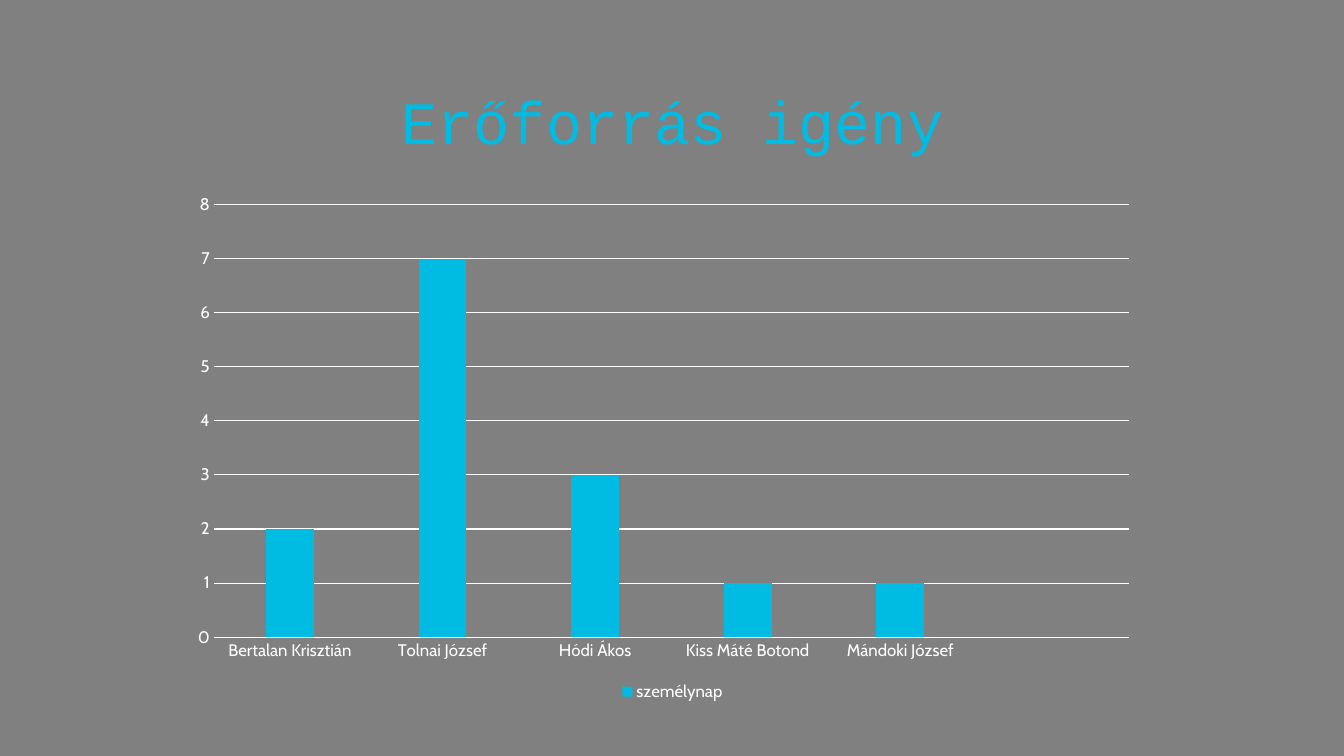
from pptx import Presentation
from pptx.chart.data import CategoryChartData
from pptx.dml.color import RGBColor
from pptx.enum import chart as charts, text
from pptx.oxml import parse_xml
from pptx.oxml.ns import nsdecls, qn
from pptx.util import Inches, Pt

TITLE = "Erőforrás igény"
SERIES = "személynap"
WORKLOAD = [
    ("Bertalan Krisztián", 2),
    ("Tolnai József", 7),
    ("Hódi Ákos", 3),
    ("Kiss Máté Botond", 1),
    ("Mándoki József", 1),
    ("", None),
]
TITLE_BOX = (1.67, 0.36, 10, 1.25)
CHART_BOX = (1.67, 1.75, 10, 5.25)
PLOT_AREA = {"x": 0.045, "y": 0.053, "w": 0.908, "h": 0.818}


class Theme:
    background = RGBColor.from_string("808080")
    accent = RGBColor.from_string("00BCE3")
    light = RGBColor.from_string("FFFFFF")
    title_font, chart_font = "Courier New", "Cabin"
    title_size, chart_size = Pt(43), Pt(12)
    line_width = Pt(0.75)


def style_font(font, name, size, color):
    font.name, font.size, font.bold = name, size, False
    font.color.rgb = color


def style_chart_font(font):
    style_font(font, Theme.chart_font, Theme.chart_size, Theme.light)


def style_line(line):
    line.color.rgb = Theme.light
    line.width = Theme.line_width


def fix_plot_area(chart):
    """Place the inner plot area by fractions of the chart frame."""
    area = chart._chartSpace.chart.plotArea
    for layout in area.findall(qn("c:layout")):
        area.remove(layout)
    modes = "".join(f'<c:{key}Mode val="edge"/>' for key in "xy")
    sizes = "".join(f'<c:{key} val="{value}"/>' for key, value in PLOT_AREA.items())
    area.insert(0, parse_xml(
        f'<c:layout {nsdecls("c")}><c:manualLayout><c:layoutTarget val="inner"/>'
        f"{modes}{sizes}</c:manualLayout></c:layout>"))


def add_title(page):
    box = page.shapes.add_textbox(*map(Inches, TITLE_BOX))
    frame = box.text_frame
    frame.word_wrap = True
    frame.vertical_anchor = text.MSO_ANCHOR.BOTTOM
    frame.text = TITLE
    para = frame.paragraphs[0]
    para.alignment = text.PP_ALIGN.CENTER
    para.line_spacing = 0.9
    style_font(para.runs[0].font, Theme.title_font, Theme.title_size, Theme.accent)


def add_workload_chart(page):
    names, days = zip(*WORKLOAD)
    data = CategoryChartData()
    data.categories = names
    data.add_series(SERIES, days)
    chart = page.shapes.add_chart(
        charts.XL_CHART_TYPE.COLUMN_CLUSTERED, *map(Inches, CHART_BOX), data).chart
    chart.has_title = False
    style_chart_font(chart.font)
    fix_plot_area(chart)

    plot = chart.plots[0]
    plot.vary_by_categories = False
    plot.gap_width, plot.overlap = 219, -27
    fill = plot.series[0].format.fill
    fill.solid()
    fill.fore_color.rgb = Theme.accent

    for axis in (chart.category_axis, chart.value_axis):
        axis.major_tick_mark = axis.minor_tick_mark = charts.XL_TICK_MARK.NONE
        style_chart_font(axis.tick_labels.font)
    style_line(chart.category_axis.format.line)

    scale = chart.value_axis
    scale.minimum_scale, scale.maximum_scale, scale.major_unit = 0, 8, 1
    scale.format.line.fill.background()
    scale.has_major_gridlines = True
    style_line(scale.major_gridlines.format.line)

    chart.has_legend = True
    chart.legend.position = charts.XL_LEGEND_POSITION.BOTTOM
    chart.legend.include_in_layout = False
    style_chart_font(chart.legend.font)


def main():
    deck = Presentation()
    deck.slide_width, deck.slide_height = Inches(13.33), Inches(7.5)
    page = deck.slides.add_slide(deck.slide_layouts[6])
    page.background.fill.solid()
    page.background.fill.fore_color.rgb = Theme.background
    add_title(page)
    add_workload_chart(page)
    deck.save("out.pptx")


if __name__ == "__main__":
    main()
